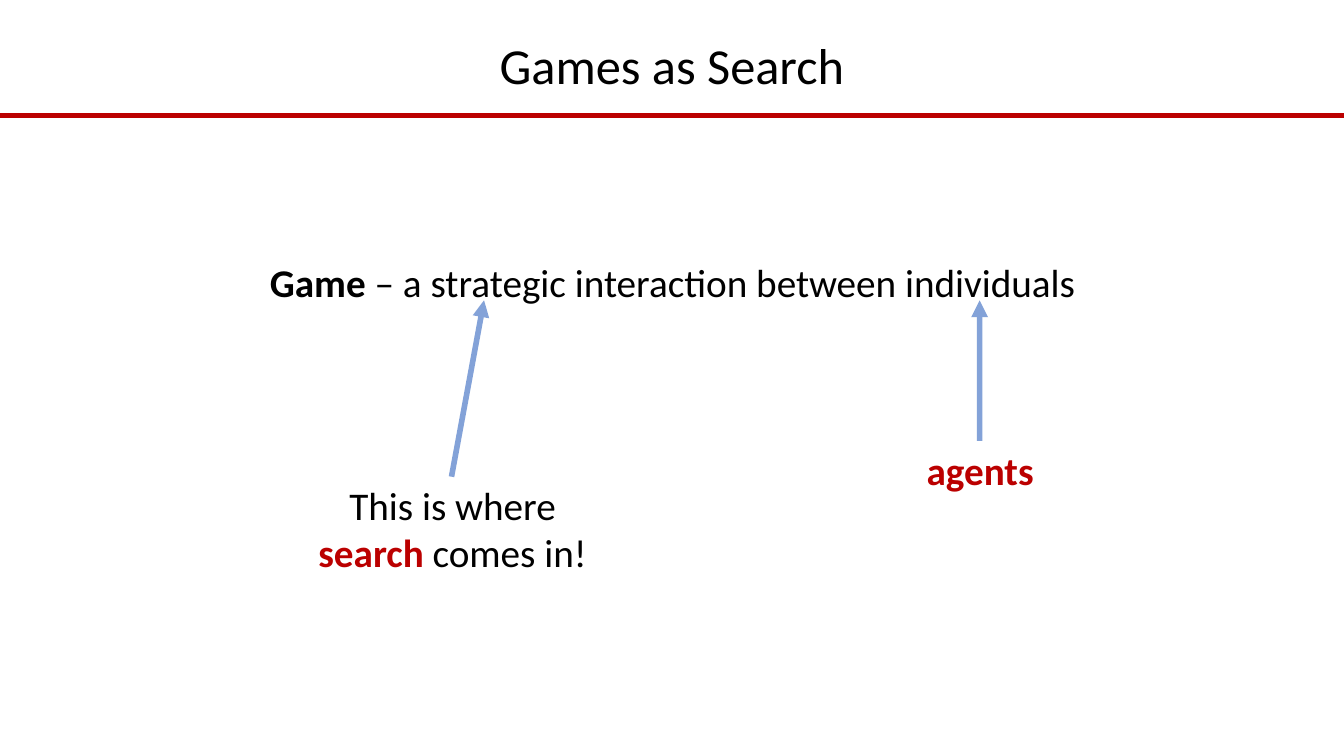
from dataclasses import dataclass

from lxml import etree
from pptx import Presentation
from pptx.dml.color import RGBColor
from pptx.enum.shapes import MSO_CONNECTOR
from pptx.enum.text import MSO_ANCHOR, MSO_AUTO_SIZE, PP_ALIGN
from pptx.oxml.ns import qn
from pptx.util import Emu, Pt

STRAIGHT = MSO_CONNECTOR.STRAIGHT
CENTER = PP_ALIGN.CENTER
TOP, MIDDLE = MSO_ANCHOR.TOP, MSO_ANCHOR.MIDDLE
NO_FIT, GROW = MSO_AUTO_SIZE.NONE, MSO_AUTO_SIZE.SHAPE_TO_FIT_TEXT

PX = 9525
WIDTH, HEIGHT = 1280, 720
FONT = "Calibri"
BLACK, RED, BLUE = "000000", "BB0000", "4472C4"


@dataclass(frozen=True)
class Run:
    """A piece of text in one style."""
    text: str
    color: str = BLACK
    bold: bool = False


@dataclass(frozen=True)
class Box:
    """A rectangle in px."""
    left: int
    top: int
    width: int
    height: int


@dataclass(frozen=True)
class Label:
    """A centred callout below the definition."""
    box: Box
    runs: tuple[Run, ...]


@dataclass(frozen=True)
class Line:
    """A straight line in px, with an optional arrowhead and opacity."""
    start: tuple[int, int]
    end: tuple[int, int]
    color: str
    arrow: bool = False
    opacity: int = 100


TITLE = Box(88, 33, 1104, 63)
DEFINITION = Box(242, 246, 797, 81)
DEFINITION_RUNS = (
    Run("Game", bold=True),
    Run(" – a strategic interaction between individuals"),
)
LABELS = (
    Label(Box(849, 420, 169, 55), (Run("agents", RED, True),)),
    Label(Box(276, 454, 310, 100),
          (Run("This is where "), Run("search ", RED, True), Run("comes in!"))),
)
RULE = Line((0, 110), (WIDTH, 110), RED)
ARROWS = (
    Line((933, 420), (933, 286), BLUE, True, 65),
    Line((430, 454), (461, 286), BLUE, True, 65),
)


def px(n: int) -> Emu:
    """Turn px into EMU."""
    return Emu(n * PX)


def rgb(color: str) -> RGBColor:
    """Turn a hex string into a colour."""
    return RGBColor.from_string(color)


def place(sp, box: Box) -> None:
    """Move and size a shape."""
    sp.left, sp.top = px(box.left), px(box.top)
    sp.width, sp.height = px(box.width), px(box.height)


def write(sp, runs: tuple[Run, ...], size: int, anchor=TOP, fit=NO_FIT,
          spacing: float = 1.0) -> None:
    """Fill a shape with one centred, unbulleted paragraph."""
    tf = sp.text_frame
    tf.word_wrap = True
    tf.auto_size = fit
    tf.vertical_anchor = anchor
    p = tf.paragraphs[0]
    p.alignment = CENTER
    p.line_spacing = spacing
    p.space_before = Pt(0)
    pPr = p._p.get_or_add_pPr()
    pPr.set("marL", "0")
    pPr.set("indent", "0")
    etree.SubElement(pPr, qn("a:buNone"))
    for run in runs:
        r = p.add_run()
        r.text = run.text
        r.font.name = FONT
        r.font.size = Pt(size)
        r.font.bold = run.bold
        r.font.color.rgb = rgb(run.color)


def draw_line(s, line: Line) -> None:
    """Draw a line or an arrow."""
    sp = s.shapes.add_connector(STRAIGHT, *map(px, line.start + line.end))
    sp.line.width = Pt(4)
    sp.line.color.rgb = rgb(line.color)
    ln = sp.line._get_or_add_ln()
    if line.opacity < 100:
        alpha = etree.SubElement(ln.find(".//" + qn("a:srgbClr")), qn("a:alpha"))
        alpha.set("val", str(line.opacity * 1000))
    if line.arrow:
        etree.SubElement(ln, qn("a:tailEnd")).set("type", "triangle")
    etree.SubElement(sp._element.spPr, qn("a:effectLst"))


def main() -> None:
    """Build and save the slide."""
    prs = Presentation()
    prs.slide_width, prs.slide_height = px(WIDTH), px(HEIGHT)
    s = prs.slides.add_slide(prs.slide_layouts[1])
    title, body = s.shapes.title, s.placeholders[1]
    draw_line(s, RULE)
    place(title, TITLE)
    write(title, (Run("Games as Search"),), 36, MIDDLE, spacing=0.9)
    place(body, DEFINITION)
    write(body, DEFINITION_RUNS, 28, spacing=0.9)
    for label in LABELS:
        sp = s.shapes.add_textbox(0, 0, 0, 0)
        place(sp, label.box)
        write(sp, label.runs, 28, fit=GROW)
    for arrow in ARROWS:
        draw_line(s, arrow)
    prs.save("out.pptx")


if __name__ == "__main__":
    main()
